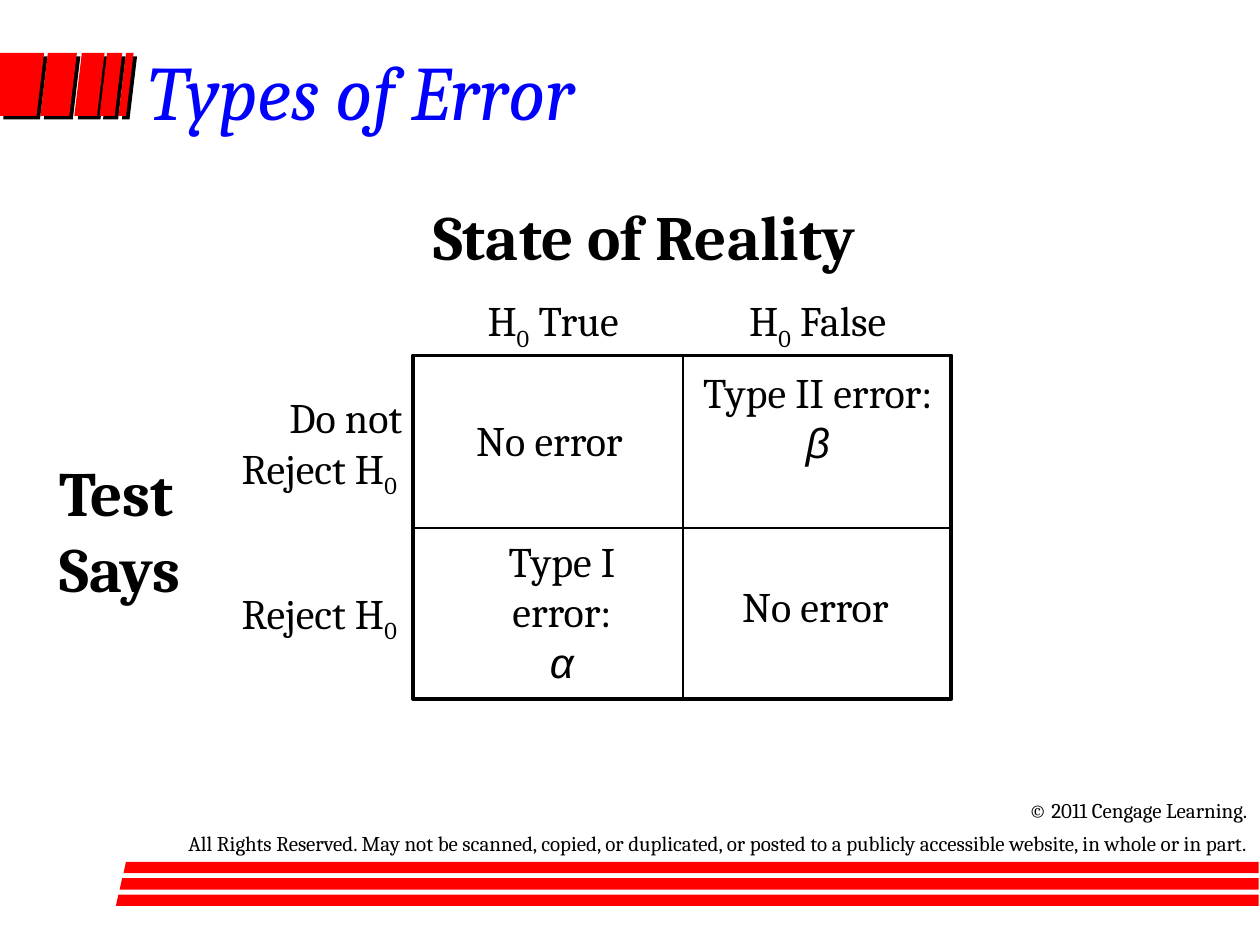
import pptx
import pptx.dml.color
import pptx.enum.shapes
import pptx.enum.text
import pptx.util
import pptx.oxml
import pptx.oxml.ns

COLS, ROWS = 1000, 750
UNIT = 9144
HUES = {"red": "FF0000", "blue": "0000FF", "black": "000000", "white": "FFFFFF"}
ALIGN = pptx.enum.text.PP_ALIGN
FONT = "Cambria"
LEFT, TOP, WIDE, TALL = 328, 282, 427, 273
MID_X, MID_Y = LEFT + WIDE // 2 + 1, TOP + TALL // 2 + 1


def grid(*cells):
    return [pptx.util.Emu(cell * UNIT) for cell in cells]


def hue(name):
    return pptx.dml.color.RGBColor.from_string(HUES[name])


def cast_shade(shape):
    space = pptx.oxml.ns.nsdecls("a")
    shade = pptx.oxml.parse_xml(
        f'<a:outerShdw {space} dist="35560" dir="2700000" algn="ctr" rotWithShape="0">'
        f'<a:srgbClr val="{HUES["black"]}"/></a:outerShdw>')
    shape._element.spPr.find(pptx.oxml.ns.qn("a:effectLst")).append(shade)


def add_slant(slide, points, shade=False):
    pen = slide.shapes.build_freeform(*points[0], scale=UNIT)
    pen.add_line_segments(points[1:], close=True)
    shape = pen.convert_to_shape()
    shape.shadow.inherit = False
    shape.fill.solid()
    shape.fill.fore_color.rgb = hue("red")
    shape.line.fill.background()
    if shade:
        cast_shade(shape)


def add_frame(slide):
    box = slide.shapes.add_shape(
        pptx.enum.shapes.MSO_SHAPE.RECTANGLE, *grid(LEFT, TOP, WIDE, TALL))
    box.shadow.inherit = False
    box.fill.solid()
    box.fill.fore_color.rgb = hue("white")
    box.line.color.rgb = hue("black")
    box.line.width = pptx.util.Pt(2)


def add_rule(slide, *ends):
    rule = slide.shapes.add_connector(
        pptx.enum.shapes.MSO_CONNECTOR.STRAIGHT, *grid(*ends))
    rule.line.color.rgb = hue("black")
    rule.line.width = pptx.util.Pt(1)
    rule._element.spPr.append(
        pptx.oxml.parse_xml(f'<a:effectLst {pptx.oxml.ns.nsdecls("a")}/>'))


def add_run(para, text, size, look, color):
    if text == "\n":
        para.add_line_break()
        return
    run = para.add_run()
    run.text = text
    font = run.font
    font.size = pptx.util.Pt(size)
    font.name = "Arial" if look == "greek" else FONT
    font.color.rgb = hue(color)
    font.bold = look == "bold"
    font.italic = look in ("slope", "greek")
    if look == "sub":
        font._element.set("baseline", "-25000")


def add_text(slide, place, paras, size=24, align=ALIGN.LEFT, color="black",
             gap=0, wrap=True):
    frame = slide.shapes.add_textbox(*grid(*place)).text_frame
    frame.word_wrap = wrap
    for rank, runs in enumerate(paras):
        para = frame.add_paragraph() if rank else frame.paragraphs[0]
        para.alignment = align
        if rank and gap:
            para.space_before = pptx.util.Pt(gap)
        for text, look in runs:
            add_run(para, text, size, look, color)


def add_trim(slide):
    top, base, lean = 42, 92, 6
    add_slant(slide, [(0, top), (35, top), (29, base), (0, base)], True)
    for left, wide in ((32, 23), (59, 18), (79, 12), (94, 6)):
        add_slant(slide, [(left + lean, top), (left, base), (left + wide, base),
                          (left + wide + lean, top)], True)
    for rank in range(3):
        left, top = 98 - 3 * rank, 684 + 13 * rank
        add_slant(slide, [(left, top + 9), (999, top + 9), (999, top), (left + 2, top)])


def add_cells(slide):
    fine = [("No error", "")]
    second = [("Type II error:", ""), ("\n", ""), ("β", "greek")]
    first = [("Type I", ""), ("\n", ""), ("error:", ""), ("\n", ""), ("α", "greek")]
    for left, top, tall, runs in ((332, 324, 50, fine), (545, 286, 130, second),
                                  (342, 420, 130, first), (543, 456, 50, fine)):
        add_text(slide, (left, top, 208, tall), [runs], align=ALIGN.CENTER)


def add_heads(slide):
    null, sub = ("H", ""), ("0", "sub")
    for left, word in ((336, " True"), (546, " False")):
        add_text(slide, (left, 229, 206, 56), [[null, sub, (word, "")]],
                 align=ALIGN.CENTER)
    drop = [("Reject H", ""), ("0 ", "sub")]
    for top, tall, paras in ((306, 96, [[("Do not", "")], drop]), (461, 56, [drop])):
        add_text(slide, (157, top, 172, tall), paras, align=ALIGN.RIGHT)
    add_text(slide, (334, 152, 404, 70), [[("State of Reality", "bold")]], 36, wrap=False)
    add_text(slide, (37, 355, 139, 130), [[("Test", "bold")], [("Says", "bold")]],
             36, wrap=False)


def main():
    deck = pptx.Presentation()
    deck.slide_width, deck.slide_height = grid(COLS, ROWS)
    slide = deck.slides.add_slide(deck.slide_layouts[6])
    add_trim(slide)
    add_text(slide, (108, 30, 850, 129), [[("Types of Error", "slope")]], 44, color="blue")
    add_frame(slide)
    add_rule(slide, MID_X, TOP, MID_X, TOP + TALL)
    add_rule(slide, LEFT, MID_Y, LEFT + WIDE, MID_Y)
    add_cells(slide)
    add_heads(slide)
    add_text(slide, (0, 628, COLS, 60), [
        [("© 2011 Cengage Learning.", "")],
        [("All Rights Reserved. May not be scanned, copied, or duplicated, or posted "
          "to a publicly accessible website, in whole or in part.", "")],
    ], 12, ALIGN.RIGHT, gap=4.5)
    deck.save("out.pptx")


if __name__ == "__main__":
    main()
